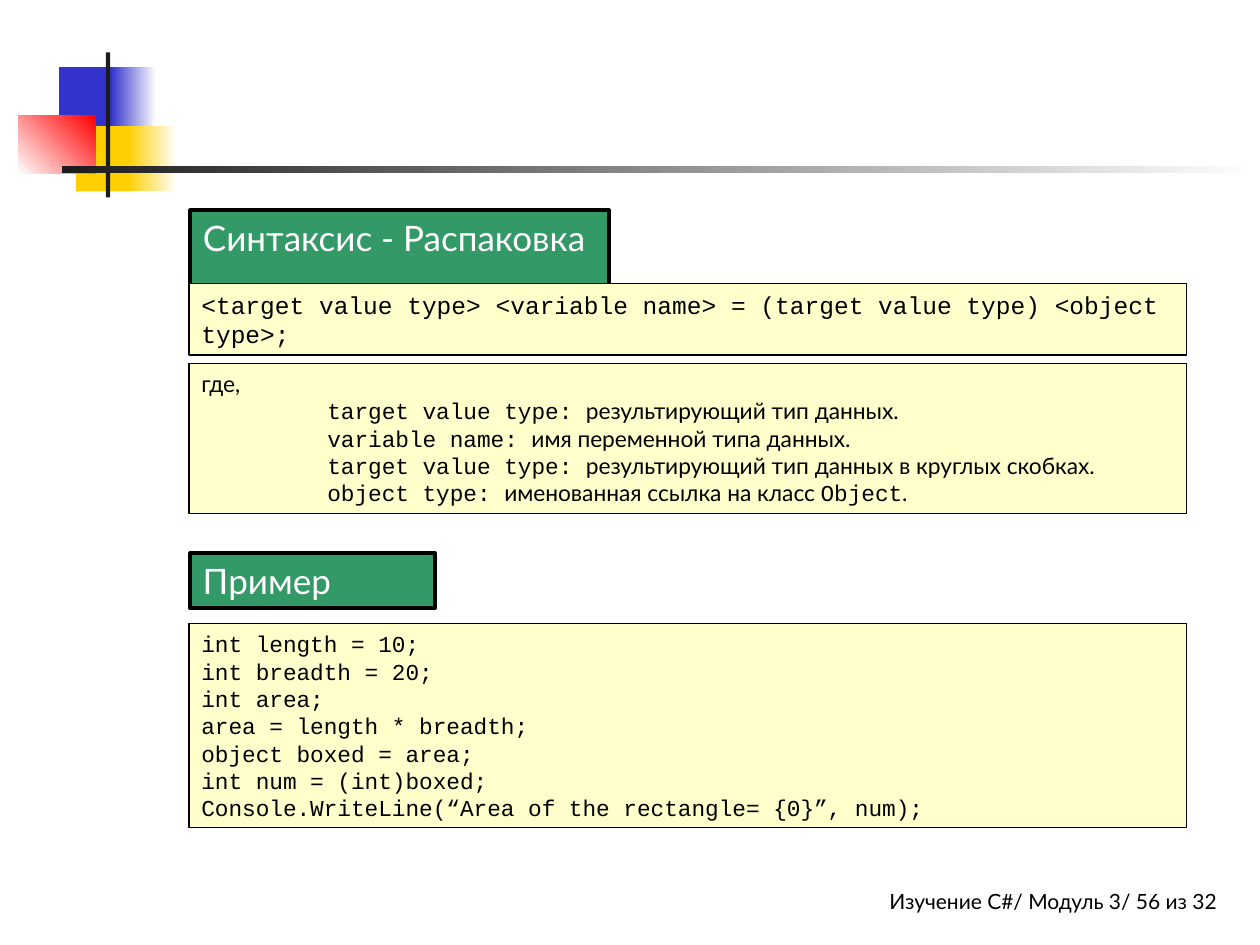
from dataclasses import dataclass

from pptx import Presentation
from pptx.dml.color import RGBColor as Rgb
from pptx.enum.shapes import MSO_SHAPE as Preset
from pptx.enum.text import MSO_ANCHOR as Anchor
from pptx.enum.text import MSO_AUTO_SIZE as AutoSize
from pptx.enum.text import PP_ALIGN as Align
from pptx.util import Pt


@dataclass(frozen=True)
class Theme:
    sans: str = "Lato"
    mono: str = "Courier New"
    heading_size: int = 20
    syntax_size: int = 14
    body_size: int = 13
    footer_size: int = 12
    black: str = "000000"
    white: str = "FFFFFF"
    green: str = "339966"
    cream: str = "FFFFCC"
    blue: str = "3333CC"
    yellow: str = "FFCF01"
    red: str = "FF0000"
    dark: str = "1C1C1C"


THEME = Theme()
LEFT, PANEL_WIDTH = 108, 570
DEFINITION_INDENT = 72

DEFINITIONS = [
    [("target value type: ", THEME.mono), ("результирующий тип данных.", THEME.sans)],
    [("variable name: ", THEME.mono), ("имя переменной типа данных.", THEME.sans)],
    [("target value type: ", THEME.mono),
     ("результирующий тип данных в круглых скобках.", THEME.sans)],
    [("object type: ", THEME.mono), ("именованная ссылка на класс ", THEME.sans),
     ("Object", THEME.mono), (".", THEME.sans)],
]
EXAMPLE = [
    "int length = 10;",
    "int breadth = 20;",
    "int area;",
    "area = length * breadth;",
    "object boxed = area;",
    "int num = (int)boxed;",
    "Console.WriteLine(“Area of the rectangle= {0}”, num);",
]


def code(lines):
    return [[(line, THEME.mono)] for line in lines]


def place(shape, left, top, width, height):
    shape.left, shape.top = Pt(left), Pt(top)
    shape.width, shape.height = Pt(width), Pt(height)


def add_rectangle(slide, box):
    shape = slide.shapes.add_shape(Preset.RECTANGLE, *map(Pt, box))
    shape.shadow.inherit = False
    return shape


def paint(shape, fill, line_width):
    shape.fill.solid()
    shape.fill.fore_color.rgb = Rgb.from_string(fill)
    shape.line.color.rgb = Rgb.from_string(THEME.black)
    shape.line.width = Pt(line_width)


def write(shape, lines, size, color, align=Align.LEFT):
    """Fill a shape with lines, each a list of (text, font) runs."""
    frame = shape.text_frame
    frame.word_wrap = True
    frame.auto_size = AutoSize.NONE
    frame.vertical_anchor = Anchor.TOP
    frame.margin_left = frame.margin_right = Pt(7.2)
    frame.margin_top = frame.margin_bottom = Pt(3.6)
    for index, runs in enumerate(lines):
        paragraph = frame.add_paragraph() if index else frame.paragraphs[0]
        paragraph.alignment = align
        for text, font in runs:
            run = paragraph.add_run()
            run.text = text
            run.font.name = font
            run.font.size = Pt(size)
            run.font.color.rgb = Rgb.from_string(color)


def format_heading(shape, text):
    paint(shape, THEME.green, 2.25)
    write(shape, [[(text, THEME.sans)]], THEME.heading_size, THEME.white)


def add_panel(slide, top, height, lines, size):
    panel = add_rectangle(slide, (LEFT, top, PANEL_WIDTH, height))
    paint(panel, THEME.cream, 0.75)
    write(panel, lines, size, THEME.black)
    return panel


def add_block(slide, box, start, end=None, angle=0):
    """Add a plain block, or one fading from start to end."""
    block = add_rectangle(slide, box)
    block.line.fill.background()
    if end is None:
        block.fill.solid()
        block.fill.fore_color.rgb = Rgb.from_string(start)
        return
    block.fill.gradient()
    block.fill.gradient_angle = angle
    for stop, color in zip(block.fill.gradient_stops, (start, end)):
        stop.color.rgb = Rgb.from_string(color)


def add_decoration(slide):
    add_block(slide, (33.8, 38.4, 34.6, 37.4), THEME.blue)
    add_block(slide, (63.2, 38.4, 26, 37.4), THEME.blue, THEME.white)
    add_block(slide, (43.4, 72, 33.1, 37.4), THEME.yellow)
    add_block(slide, (72.6, 72, 28.8, 37.4), THEME.yellow, THEME.white)
    add_block(slide, (10.5, 66, 44.2, 33.4), THEME.white, THEME.red, 45)
    add_block(slide, (60.5, 30, 2.5, 82.8), THEME.dark)
    add_block(slide, (35.3, 94.9, 684.7, 4.2), THEME.dark, THEME.white)


def add_footer(slide, text):
    footer = slide.shapes.add_textbox(Pt(330), Pt(504), Pt(365.6), Pt(24))
    write(footer, [[(text, THEME.sans)]], THEME.footer_size, THEME.black, Align.RIGHT)
    footer.text_frame.margin_right = 0


def main():
    presentation = Presentation()
    presentation.slide_width, presentation.slide_height = Pt(720), Pt(540)
    slide = presentation.slides.add_slide(presentation.slide_layouts[5])

    # Corner ornament and footer
    add_decoration(slide)
    add_footer(slide, "Изучение C#/ Модуль 3/ 56 из 32")

    # Syntax of unboxing
    title = slide.shapes.title
    place(title, 108.8, 120.2, 239, 55.4)
    format_heading(title, "Синтаксис - Распаковка")
    syntax = "<target value type> <variable name> = (target value type) <object type>;"
    add_panel(slide, 162, 41, code([syntax]), THEME.syntax_size)

    # Explanation of the terms
    terms = add_panel(slide, 207.8, 85.5, [[("где,", THEME.sans)], *DEFINITIONS],
                      THEME.body_size)
    for paragraph in terms.text_frame.paragraphs[1:]:
        properties = paragraph._p.get_or_add_pPr()
        properties.set("marL", str(Pt(DEFINITION_INDENT)))
        properties.set("indent", "0")

    # Example
    example_heading = add_rectangle(slide, (108.8, 316, 139.7, 31.7))
    format_heading(example_heading, "Пример")
    add_panel(slide, 356.4, 116.6, code(EXAMPLE), THEME.body_size)

    presentation.save("out.pptx")


if __name__ == "__main__":
    main()
